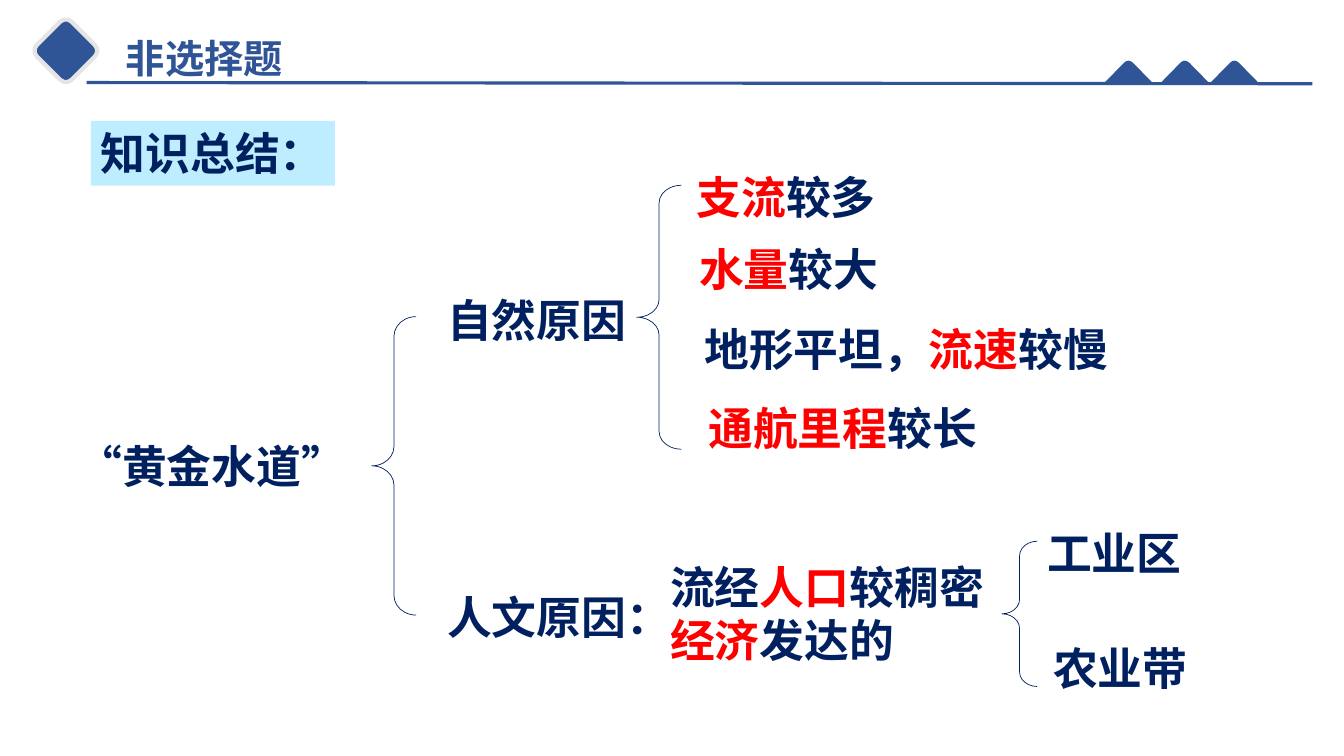
from lxml.etree import SubElement
from pptx import Presentation
from pptx.dml.color import RGBColor
from pptx.enum.shapes import MSO_CONNECTOR as Link, MSO_SHAPE as Kind
from pptx.enum.text import MSO_ANCHOR as Anchor, MSO_AUTO_SIZE as Fit, PP_ALIGN as Align
from pptx.oxml.ns import qn
from pptx.util import Cm, Pt

BLUE = RGBColor(0x2F, 0x55, 0x97)
NAVY = RGBColor(0x00, 0x20, 0x60)
RED = RGBColor(0xFF, 0x00, 0x00)
GREY = RGBColor(0xE5, 0xE5, 0xE5)
SKY = RGBColor(0xBD, 0xED, 0xFF)


class Board:
    """Draws styled elements on one slide; text between stars is red."""

    def __init__(self, deck):
        self.font, self.size = "Noto Sans CJK SC", Pt(32)
        self.slide = deck.slides.add_slide(deck.slide_layouts[5])
        self.shapes = self.slide.shapes

    def place(self, shape, x, y, w, h):
        shape.left, shape.top, shape.width, shape.height = map(Cm, (x, y, w, h))

    def frame(self, shape):
        frame = shape.text_frame
        frame.word_wrap = False
        frame.auto_size = Fit.SHAPE_TO_FIT_TEXT
        frame.vertical_anchor = Anchor.TOP
        return frame

    def style(self, para, name, size, color):
        para.alignment = Align.LEFT
        font = para.font
        font.size, font.bold, font.name = size, True, name
        font.color.rgb = color
        mark = para._p.pPr.find(qn("a:defRPr"))
        SubElement(mark, qn("a:ea")).set("typeface", self.font)

    def title(self, text, *box):
        shape = self.shapes.title
        self.place(shape, *box)
        frame = self.frame(shape)
        frame.text = text
        self.style(frame.paragraphs[0], "Arial", Pt(28), BLUE)

    def text(self, text, x, y, w, h=1.63, fill=None):
        shape = self.shapes.add_textbox(Cm(x), Cm(y), Cm(w), Cm(h))
        if fill is not None:
            shape.fill.solid()
            shape.fill.fore_color.rgb = fill
        frame = self.frame(shape)
        for row, line in enumerate(text.split("\n")):
            para = frame.add_paragraph() if row else frame.paragraphs[0]
            self.style(para, self.font, self.size, NAVY)
            for turn, part in enumerate(line.split("*")):
                if part:
                    run = para.add_run()
                    run.text = part
                    if turn % 2:
                        run.font.color.rgb = RED

    def brace(self, x, y, w, h, bend):
        shape = self.shapes.add_shape(Kind.LEFT_BRACE, Cm(x), Cm(y), Cm(w), Cm(h))
        shape.adjustments[0] = bend
        shape.shadow.inherit = False
        shape.fill.background()
        shape.line.color.rgb, shape.line.width = NAVY, Pt(0.5)

    def gem(self, x, y, side):
        shape = self.shapes.add_shape(
            Kind.ROUNDED_RECTANGLE, Cm(x), Cm(y), Cm(side), Cm(side))
        shape.rotation = 45
        shape.shadow.inherit = False
        shape.fill.solid()
        shape.fill.fore_color.rgb = BLUE
        shape.line.color.rgb, shape.line.width = GREY, Pt(3)

    def rule(self, x, y, end, foot):
        line = self.shapes.add_connector(Link.STRAIGHT, Cm(x), Cm(y), Cm(end), Cm(foot))
        line.line.color.rgb, line.line.width = BLUE, Pt(2.25)
        SubElement(line._element.spPr, qn("a:effectLst"))

    def peak(self, x, y):
        half = [(0.62, 0.58), (0.58, 0.53), (0.11, 0.05), (0.05, 0.01)]
        edge = [(-a, b) for a, b in half] + [(0, 0)] + half[::-1]
        dots = [(Cm(x + a), Cm(y + b)) for a, b in edge]
        path = self.shapes.build_freeform(*dots[0])
        path.add_line_segments(dots[1:], close=True)
        shape = path.convert_to_shape()
        shape.shadow.inherit = False
        shape.fill.solid()
        shape.fill.fore_color.rgb = BLUE
        shape.line.fill.background()


def main():
    deck = Presentation()
    deck.slide_width, deck.slide_height = Cm(33.87), Cm(19.05)
    board = Board(deck)

    board.gem(1.04, 0.66, 1.24)
    board.rule(2.18, 2.08, 33.07, 2.11)
    board.title("非选择题", 2.92, 0.74, 4.47, 1.45)
    for x in (28.44, 29.86, 31.11):
        board.peak(x, 1.53)

    board.text("知识总结：", 2.29, 3.05, 6.15, fill=SKY)
    board.text("“黄金水道”", 1.7, 10.92, 7.32)
    board.brace(9.37, 7.98, 1.12, 7.52, 0.438)

    board.text("自然原因", 11.02, 7.26, 5.05)
    board.brace(16.05, 4.67, 1.12, 6.65, 0.4)
    board.text("*支流*较多", 17.3, 4.14, 5.05)
    board.text("*水量*较大", 17.37, 5.97, 5.05)
    board.text("地形平坦，*流速*较慢", 17.5, 7.98, 10.72)
    board.text("*通航里程*较长", 17.6, 9.98, 7.32)

    board.text("人文原因：", 11.02, 14.73, 6.17)
    board.text("流经*人口*较稠密\n*经济*发达的", 16.64, 13.97, 8.46, 3)
    board.brace(25.25, 13.64, 0.89, 3.66, 0.412)
    board.text("工业区", 26.14, 13.13, 3.91)
    board.text("农业带", 26.29, 16.03, 3.91)

    deck.save("out.pptx")


if __name__ == "__main__":
    main()
